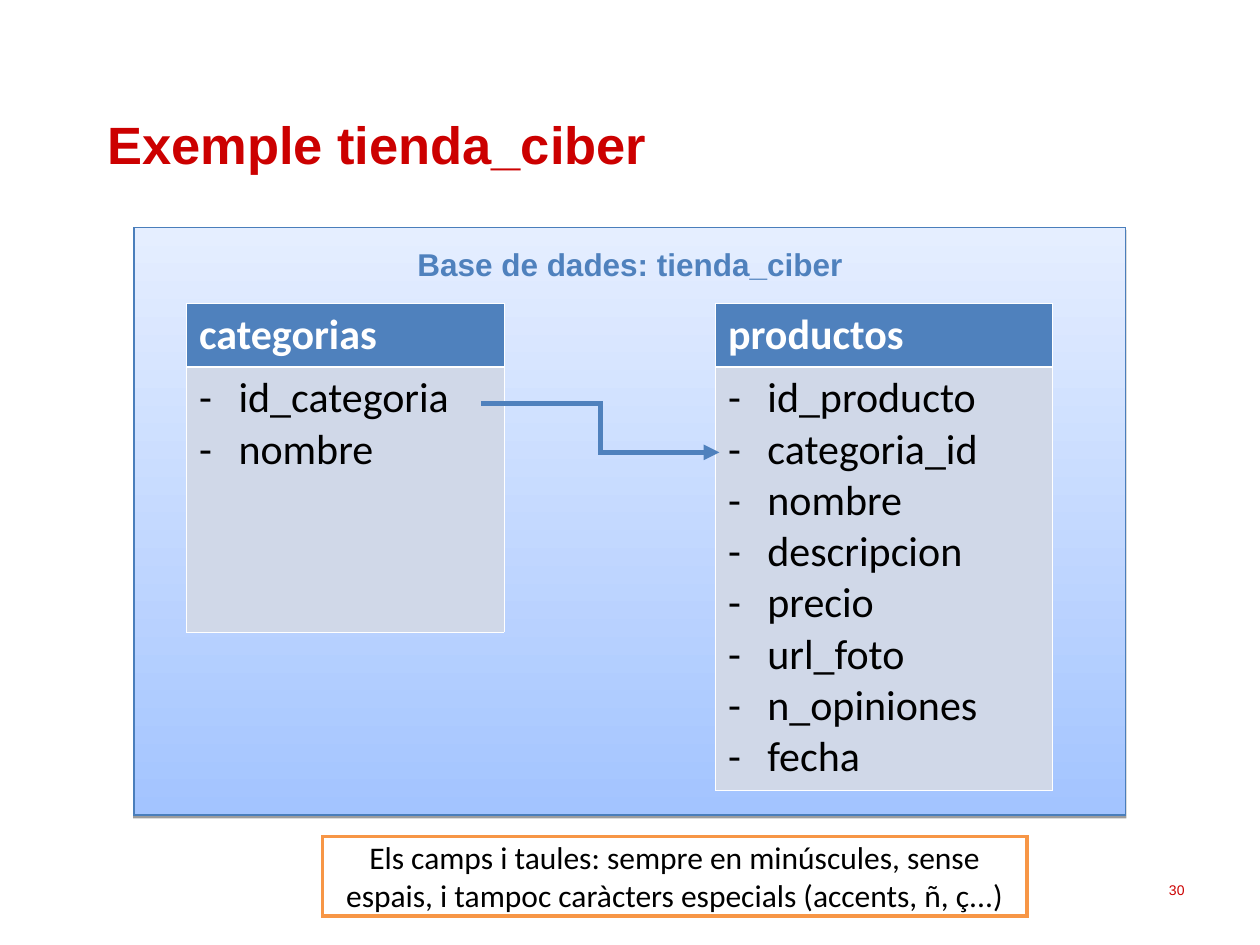
from dataclasses import dataclass

from lxml.etree import SubElement
from pptx import Presentation
from pptx.dml.color import RGBColor
from pptx.enum.shapes import MSO_CONNECTOR as Connector, MSO_SHAPE as Preset
from pptx.enum.text import MSO_ANCHOR as Anchor, MSO_AUTO_SIZE as AutoSize, PP_ALIGN as Align
from pptx.oxml.ns import qn
from pptx.util import Pt

COLORS = {
    "red": "CC0000",
    "blue": "4F81BD",
    "panel_line": "4A7EBB",
    "panel_bottom": "A3C4FF",
    "panel_top": "E5EEFF",
    "body": "D0D8E8",
    "orange": "F79646",
    "white": "FFFFFF",
    "black": "000000",
}
THIN, THICK = 0.45, 1.47
TABLE_TOP, HEADER_HEIGHT = 173.5, 36
BULLET_INDENT = 22.5


@dataclass
class Entity:
    name: str
    fields: list[str]
    left: float
    width: float
    body_height: float


ENTITIES = [
    Entity("categorias", ["id_categoria", "nombre"], 106.6, 181.4, 151.6),
    Entity(
        "productos",
        ["id_producto", "categoria_id", "nombre", "descripcion",
         "precio", "url_foto", "n_opiniones", "fecha"],
        408.8, 192.8, 242,
    ),
]


def rgb(name: str) -> RGBColor:
    return RGBColor.from_string(COLORS[name])


def add_color(parent, name: str):
    fill = SubElement(parent, qn("a:solidFill"))
    SubElement(fill, qn("a:srgbClr"), val=COLORS[name])


def write(paragraph, text: str, *, size: float, color: str, font: str = "Calibri",
          bold: bool = False, align=Align.LEFT):
    paragraph.alignment = align
    run = paragraph.add_run()
    run.text = text
    run.font.name = font
    run.font.size = Pt(size)
    run.font.bold = bold
    run.font.color.rgb = rgb(color)


def format_line(shape, color: str, width: float):
    """Set a solid line with square corners."""
    shape.line.color.rgb = rgb(color)
    shape.line.width = Pt(width)
    SubElement(shape.line._get_or_add_ln(), qn("a:miter"), lim="800000")


def add_label(slide, text: str, left: float, top: float, width: float, height: float,
              **text_format):
    box = slide.shapes.add_textbox(Pt(left), Pt(top), Pt(width), Pt(height))
    box.text_frame.word_wrap = True
    write(box.text_frame.paragraphs[0], text, font="Arial", **text_format)


def add_title(slide, text: str):
    title = slide.shapes.title
    title.left, title.top, title.width, title.height = Pt(54), Pt(60.5), Pt(612.7), Pt(69.8)
    frame = title.text_frame
    frame.auto_size = AutoSize.NONE
    frame.vertical_anchor = Anchor.TOP
    write(frame.paragraphs[0], text, size=30, color="red", font="Arial", bold=True)


def add_rectangle(slide, left: float, top: float, width: float, height: float,
                  line: str, line_width: float):
    shape = slide.shapes.add_shape(
        Preset.RECTANGLE, Pt(left), Pt(top), Pt(width), Pt(height))
    shape.shadow.inherit = False
    format_line(shape, line, line_width)
    return shape


def add_database_panel(slide):
    panel = add_rectangle(slide, 76.5, 130.2, 566.8, 335.5, "panel_line", 0.75)
    panel.fill.gradient()
    panel.fill.gradient_angle = 90
    for stop, color in zip(panel.fill.gradient_stops, ("panel_bottom", "panel_top")):
        stop.color.rgb = rgb(color)
    effects = panel.element.spPr.find(qn("a:effectLst"))
    shadow = SubElement(effects, qn("a:outerShdw"), blurRad="0", dist=str(Pt(1.6)),
                        dir="5400000", rotWithShape="0")
    shade = SubElement(shadow, qn("a:srgbClr"), val=COLORS["black"])
    SubElement(shade, qn("a:alpha"), val="38000")


def format_cell(cell, fill: str, top: float, bottom: float):
    """Add white borders, then the fill, which must follow them in the XML."""
    properties = cell._tc.get_or_add_tcPr()
    for side, width in (("L", THIN), ("R", THIN), ("T", top), ("B", bottom)):
        border = SubElement(properties, qn(f"a:ln{side}"), w=str(Pt(width)))
        add_color(border, "white")
    cell.fill.solid()
    cell.fill.fore_color.rgb = rgb(fill)


def add_dash(paragraph):
    properties = paragraph._p.get_or_add_pPr()
    properties.set("marL", str(Pt(BULLET_INDENT)))
    properties.set("indent", str(-Pt(BULLET_INDENT)))
    bullet_color = SubElement(properties, qn("a:buClr"))
    SubElement(bullet_color, qn("a:srgbClr"), val=COLORS["black"])
    SubElement(properties, qn("a:buFont"), typeface="Calibri")
    SubElement(properties, qn("a:buChar"), char="-")


def add_entity(slide, entity: Entity):
    table = slide.shapes.add_table(
        2, 1, Pt(entity.left), Pt(TABLE_TOP), Pt(entity.width),
        Pt(HEADER_HEIGHT + entity.body_height)).table
    table.rows[0].height = Pt(HEADER_HEIGHT)
    table.rows[1].height = Pt(entity.body_height)
    header, body = table.cell(0, 0), table.cell(1, 0)
    format_cell(header, "blue", THIN, THICK)
    format_cell(body, "body", THICK, THIN)
    write(header.text_frame.paragraphs[0], entity.name, size=24, color="white", bold=True)
    frame = body.text_frame
    for index, field in enumerate(entity.fields):
        paragraph = frame.add_paragraph() if index else frame.paragraphs[0]
        add_dash(paragraph)
        write(paragraph, field, size=24, color="black")


def add_naming_note(slide, text: str):
    note = add_rectangle(slide, 184.3, 478, 402.5, 45.4, "orange", 2)
    note.fill.solid()
    note.fill.fore_color.rgb = rgb("white")
    note.text_frame.word_wrap = True
    note.text_frame.vertical_anchor = Anchor.MIDDLE
    write(note.text_frame.paragraphs[0], text, size=18, color="black", align=Align.CENTER)


def add_relation(slide, start_x: float, start_y: float, end_x: float, end_y: float):
    arrow = slide.shapes.add_connector(
        Connector.ELBOW, Pt(start_x), Pt(start_y), Pt(end_x), Pt(end_y))
    format_line(arrow, "blue", 3)
    SubElement(arrow.line._get_or_add_ln(), qn("a:tailEnd"), type="triangle")
    SubElement(arrow.element.spPr, qn("a:effectLst"))


def main():
    presentation = Presentation()
    presentation.slide_width, presentation.slide_height = Pt(720), Pt(540)
    slide = presentation.slides.add_slide(presentation.slide_layouts[5])

    add_title(slide, "Exemple tienda_ciber")
    add_database_panel(slide)
    add_label(slide, "30", 516.2, 500.4, 167.8, 28.8, size=8, color="red", align=Align.RIGHT)
    for entity in ENTITIES:
        add_entity(slide, entity)
    add_naming_note(slide, "Els camps i taules: sempre en minúscules, sense espais, "
                           "i tampoc caràcters especials (accents, ñ, ç...)")
    add_relation(slide, 275, 230.4, 411.1, 258.5)
    add_label(slide, "Base de dades: tienda_ciber", 225, 136.4, 270, 28.8,
              size=18, color="blue", bold=True, align=Align.CENTER)
    presentation.save("out.pptx")


if __name__ == "__main__":
    main()
